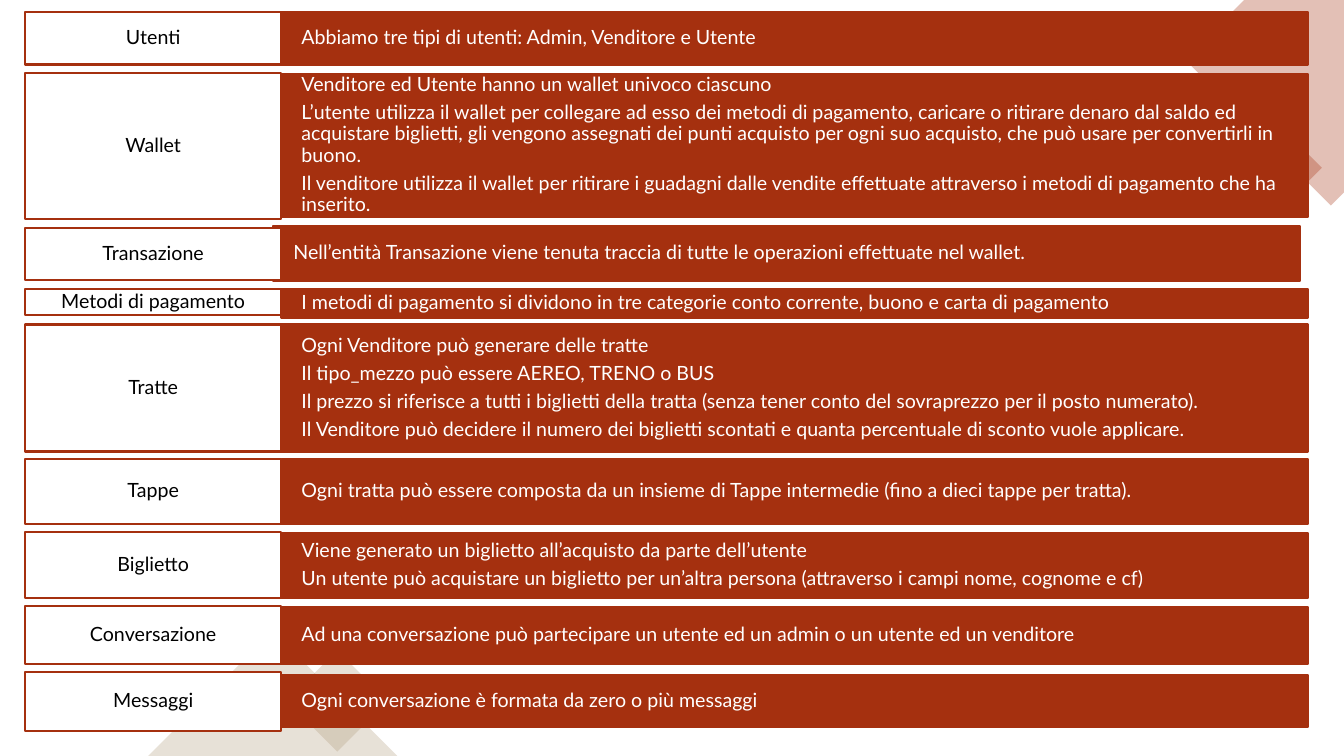
from dataclasses import dataclass
from lxml.etree import SubElement
from pptx import Presentation
from pptx.dml.color import RGBColor as RGB
from pptx.enum.shapes import MSO_SHAPE as Shape
from pptx.enum.text import MSO_ANCHOR as Anchor, PP_ALIGN as Align
from pptx.oxml.ns import qn
from pptx.util import Inches, Pt


@dataclass(frozen=True)
class Theme:
    font: str = "Lato"
    size: float = 14
    line: float = 1.5
    leading: float = 0.9
    after: float = 4.9
    alpha: int = 30
    accent: str = "A5300F"
    sand: str = "B19C7D"
    white: str = "FFFFFF"
    black: str = "000000"


CELL = 0.1
LABEL_LEFT, LABEL_WIDTH = 2.5, 25.4
DETAIL_LEFT, DETAIL_WIDTH = LABEL_LEFT + LABEL_WIDTH, 101.8

ROWS = [
    ("Utenti", (1.2, 5.2), (1.2, 5.2), 0, [
        "Abbiamo tre tipi di utenti: Admin, Venditore e Utente"]),
    ("Wallet", (7.2, 14.5), (7.3, 14.2), 0, [
        "Venditore ed Utente hanno un wallet univoco ciascuno",
        "L’utente utilizza il wallet per collegare ad esso dei metodi di pagamento, "
        "caricare o ritirare denaro dal saldo ed acquistare biglietti, gli vengono "
        "assegnati dei punti acquisto per ogni suo acquisto, che può usare per "
        "convertirli in buono.",
        "Il venditore utilizza il wallet per ritirare i guadagni dalle vendite "
        "effettuate attraverso i metodi di pagamento che ha inserito."]),
    ("Transazione", (22.6, 5.2), (22.4, 5.5), -0.8, [
        "Nell’entità Transazione viene tenuta traccia di tutte le operazioni "
        "effettuate nel wallet."]),
    ("Metodi di pagamento", (28.7, 2.6), (28.7, 2.8), 0, [
        "I metodi di pagamento si dividono in tre categorie conto corrente, "
        "buono e carta di pagamento"]),
    ("Tratte", (32.2, 12.6), (32.2, 12.6), 0, [
        "Ogni Venditore può generare delle tratte",
        "Il tipo_mezzo può essere AEREO, TRENO o BUS",
        "Il prezzo si riferisce a tutti i biglietti della tratta (senza tener "
        "conto del sovraprezzo per il posto numerato).",
        "Il Venditore può decidere il numero dei biglietti scontati e quanta "
        "percentuale di sconto vuole applicare."]),
    ("Tappe", (45.5, 6.5), (45.5, 6.5), 0, [
        "Ogni tratta può essere composta da un insieme di Tappe intermedie "
        "(fino a dieci tappe per tratta)."]),
    ("Biglietto", (52.8, 6.5), (52.9, 6.4), 0, [
        "Viene generato un biglietto all’acquisto da parte dell’utente",
        "Un utente può acquistare un biglietto per un’altra persona "
        "(attraverso i campi nome, cognome e cf)"]),
    ("Conversazione", (60.1, 5.8), (60.2, 5.7), 0, [
        "Ad una conversazione può partecipare un utente ed un admin o un "
        "utente ed un venditore"]),
    ("Messaggi", (66.7, 5.8), (67, 5.1), 0, [
        "Ogni conversazione è formata da zero o più messaggi"]),
]


def cells(n):
    return Inches(n * CELL)


def write(p, text, font, size, color, align, leading, after):
    p.alignment = align
    p.line_spacing = leading
    p.space_after = Pt(after)
    r = p.add_run()
    r.text = text
    r.font.name = font
    r.font.size = Pt(size)
    r.font.color.rgb = RGB.from_string(color)


class Deck:
    def __init__(self, theme):
        self.theme = theme
        self.prs = Presentation()
        self.prs.slide_width = Inches(13.33)
        self.prs.slide_height = Inches(7.5)
        self.s = self.prs.slides.add_slide(self.prs.slide_layouts[6])

    def tint(self, sp, color):
        sp.shadow.inherit = False
        sp.fill.solid()
        sp.fill.fore_color.rgb = RGB.from_string(color)
        sp.line.fill.background()
        srgb = sp.fill._xPr.find(f".//{qn('a:srgbClr')}")
        SubElement(srgb, qn("a:alpha"), val=str(self.theme.alpha * 1000))

    def ornament(self, kind, box, color, rotation=0):
        sp = self.s.shapes.add_shape(kind, *map(cells, box))
        sp.rotation = rotation
        self.tint(sp, color)

    def outline(self, points, color):
        start, *rest = [(cells(x), cells(y)) for x, y in points]
        builder = self.s.shapes.build_freeform(*start)
        builder.add_line_segments(rest, close=True)
        self.tint(builder.convert_to_shape(), color)

    def panel(self, box, lines, fill, color, align, inset):
        t = self.theme
        sp = self.s.shapes.add_shape(Shape.RECTANGLE, *map(cells, box))
        sp.shadow.inherit = False
        sp.fill.solid()
        sp.fill.fore_color.rgb = RGB.from_string(fill)
        sp.line.color.rgb = RGB.from_string(t.accent)
        sp.line.width = Pt(t.line)
        tf = sp.text_frame
        tf.word_wrap = True
        tf.vertical_anchor = Anchor.MIDDLE
        tf.margin_left = tf.margin_right = cells(inset)
        tf.margin_top = tf.margin_bottom = 0
        for i, text in enumerate(lines):
            p = tf.add_paragraph() if i else tf.paragraphs[0]
            write(p, text, font=t.font, size=t.size, color=color, align=align,
                  leading=t.leading, after=t.after)

    def row(self, label, label_span, detail_span, shift, lines):
        t = self.theme
        (top, height), (detail_top, detail_height) = label_span, detail_span
        self.panel((DETAIL_LEFT + shift, detail_top, DETAIL_WIDTH, detail_height),
                   lines, t.accent, t.white, Align.LEFT, 2)
        self.panel((LABEL_LEFT, top, LABEL_WIDTH, height),
                   [label], t.white, t.black, Align.CENTER, 1.3)


def main():
    theme = Theme()
    deck = Deck(theme)
    deck.outline([(133.3, 0), (123.4, 0), (117.5, 5.9), (132, 20.4), (133.3, 19.1)],
                 theme.accent)
    deck.ornament(Shape.RECTANGLE, (124.7, 14, 5.3, 5.3), theme.accent, 45)
    deck.ornament(Shape.RECTANGLE, (29.9, 66, 7.1, 7.1), theme.sand, 45)
    deck.ornament(Shape.ISOSCELES_TRIANGLE, (14.7, 62.6, 24.7, 12.4), theme.sand)
    for row in ROWS:
        deck.row(*row)
    deck.prs.save("out.pptx")


if __name__ == "__main__":
    main()
